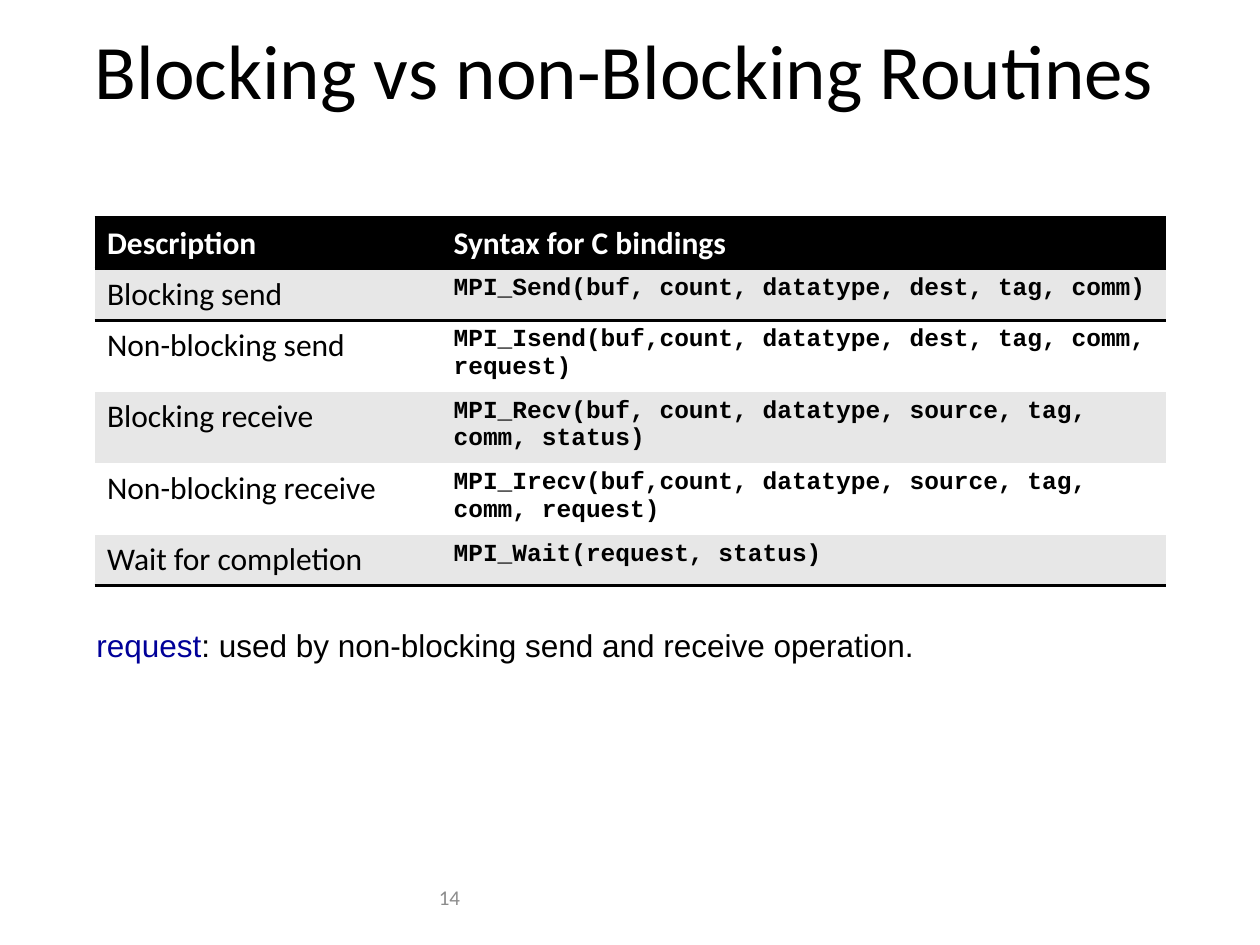
from lxml import etree
from pptx import Presentation
from pptx.dml.color import RGBColor
from pptx.enum import text as et
from pptx.oxml import ns
from pptx.util import Pt

BLACK, WHITE, BAND = "000000", "FFFFFF", "E7E7E7"
NO_STYLE = "{2D5ABB26-0587-4C30-8999-92F81FD0307C}"
ROUTINES = [
    ("Blocking send", "MPI_Send(buf, count, datatype, dest, tag, comm)"),
    ("Non-blocking send", "MPI_Isend(buf,count, datatype, dest, tag, comm, request)"),
    ("Blocking receive", "MPI_Recv(buf, count, datatype, source, tag, comm, status)"),
    ("Non-blocking receive", "MPI_Irecv(buf,count, datatype, source, tag, comm, request)"),
    ("Wait for completion", "MPI_Wait(request, status)"),
]


def rgb(value):
    """Return the colour for a hex string."""
    return RGBColor.from_string(value)


def add_text(paragraph, content, size=18, font="Calibri", color=BLACK, bold=False, align=None):
    """Append one formatted run to a paragraph."""
    run = paragraph.add_run()
    run.text = content
    run.font.size, run.font.name, run.font.bold = Pt(size), font, bold
    run.font.color.rgb = rgb(color)
    if align is not None:
        paragraph.alignment = align


def add_rules(cell, sides, width=2):
    """Draw black horizontal rules on the given sides of a cell."""
    properties = cell._tc.get_or_add_tcPr()
    for place, side in enumerate(sides):
        rule = etree.Element(ns.qn("a:ln" + side), w=str(Pt(width)))
        fill = etree.SubElement(rule, ns.qn("a:solidFill"))
        etree.SubElement(fill, ns.qn("a:srgbClr"), val=BLACK)
        properties.insert(place, rule)


def place_title(slide, left, top, width, height):
    """Fill the title placeholder in the given box."""
    title = slide.shapes.title
    title.left, title.top, title.width, title.height = map(Pt, (left, top, width, height))
    frame = title.text_frame
    frame.vertical_anchor = et.MSO_ANCHOR.MIDDLE
    add_text(frame.paragraphs[0], "Blocking vs non-Blocking Routines", size=44,
             align=et.PP_ALIGN.CENTER)


def place_routines(slide, left, top, width, height, description_width=198, row_height=29.2):
    """Build the table of routines in the given box."""
    rows = [("Description", "Syntax for C bindings")] + ROUTINES
    holder = slide.shapes.add_table(len(rows), 2, *map(Pt, (left, top, width, height)))
    routines = holder.table
    routines._tbl.tblPr.find(ns.qn("a:tableStyleId")).text = NO_STYLE
    routines.columns[0].width = Pt(description_width)
    routines.columns[1].width = Pt(width - description_width)
    sides = {0: "TB", 1: "T", len(rows) - 1: "B"}
    for r, row in enumerate(rows):
        routines.rows[r].height = Pt(row_height)
        for c, content in enumerate(row):
            cell = routines.cell(r, c)
            cell.fill.solid()
            cell.fill.fore_color.rgb = rgb(BLACK if r == 0 else BAND if r % 2 else WHITE)
            add_rules(cell, sides.get(r, ""))
            if r == 0:
                style = dict(color=WHITE, bold=True)
            elif c == 1:
                style = dict(size=14, font="Courier New", bold=True)
            else:
                style = {}
            add_text(cell.text_frame.paragraphs[0], content, **style)
    holder.height = Pt(height)


def add_frame(slide, left, top, width, height):
    """Add a wrapping text box and return its text frame."""
    frame = slide.shapes.add_textbox(*map(Pt, (left, top, width, height))).text_frame
    frame.word_wrap = True
    return frame


def place_note(slide, *box):
    """Write the explanation of the request argument in the given box."""
    explanation = add_frame(slide, *box).paragraphs[0]
    add_text(explanation, "request", font="Arial", color="000099")
    add_text(explanation, ": used by non-blocking send and receive operation.", font="Arial")


def place_page_number(slide, *box):
    """Write the page number in the given box."""
    frame = add_frame(slide, *box)
    frame.vertical_anchor = et.MSO_ANCHOR.MIDDLE
    add_text(frame.paragraphs[0], "14", size=12, color="8C8C8C", align=et.PP_ALIGN.RIGHT)


def main():
    """Build and save the slide."""
    deck = Presentation()
    deck.slide_width, deck.slide_height = Pt(720), Pt(540)
    slide = deck.slides.add_slide(deck.slide_layouts[5])
    place_title(slide, 36, 0, 642, 78)
    place_note(slide, 48, 354, 612, 29.5)
    place_routines(slide, 54, 124.5, 612, 210)
    place_page_number(slide, 102, 498, 168, 28.8)
    deck.save("out.pptx")


main()
